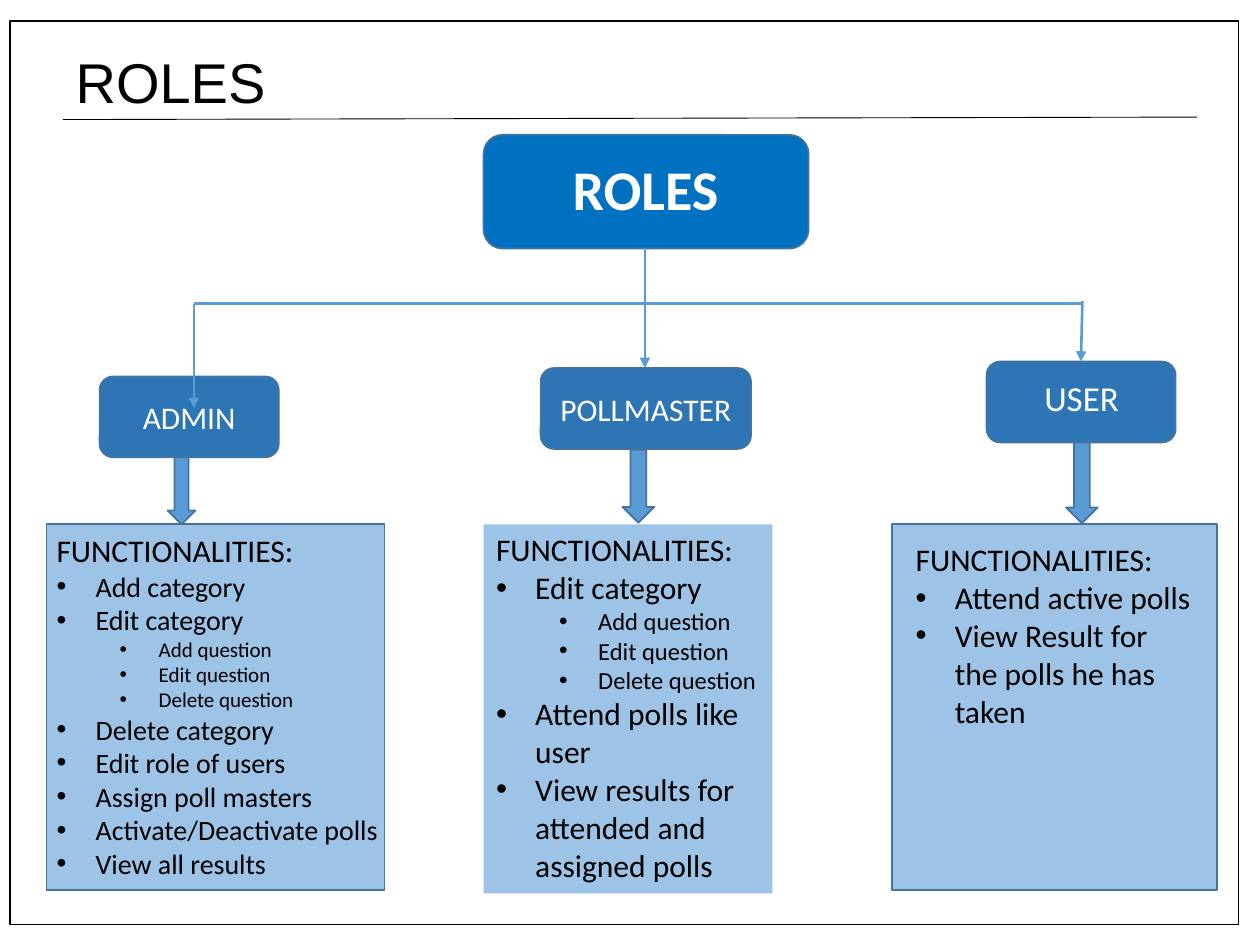
"""Build the slide that shows the roles and what each role can do."""
import lxml.etree
import pptx
import pptx.dml.color
import pptx.enum.shapes
import pptx.enum.text
import pptx.oxml.ns
import pptx.util

Cm = pptx.util.Cm
Pt = pptx.util.Pt
SHAPE = pptx.enum.shapes.MSO_SHAPE
ALIGN = pptx.enum.text.PP_ALIGN
ANCHOR = pptx.enum.text.MSO_ANCHOR

BLACK, WHITE = "000000", "FFFFFF"
TOP_BLUE, ROLE_BLUE, PANEL_BLUE = "0070C0", "2E75B6", "9DC3E6"
ACCENT, EDGE = "5B9BD5", "43739E"
HEADING = (0, "FUNCTIONALITIES:")
QUESTIONS = [(2, "Add question"), (2, "Edit question"), (2, "Delete question")]

ADMIN_ITEMS = [
    HEADING, (1, "Add category"), (1, "Edit category"), *QUESTIONS,
    (1, "Delete category"), (1, "Edit role of users"), (1, "Assign poll masters"),
    (1, "Activate/Deactivate polls"), (1, "View all results"),
]
POLLMASTER_ITEMS = [
    HEADING, (1, "Edit category"), *QUESTIONS, (1, "Attend polls like user"),
    (1, "View results for attended and assigned polls"),
]
USER_ITEMS = [
    HEADING, (1, "Attend active polls"),
    (1, "View Result for the polls he has taken"),
]


def color(value):
    """Return the colour for a hex string."""
    return pptx.dml.color.RGBColor.from_string(value)


def apply_format(target, values):
    """Set each attribute in values on target."""
    for name, value in values.items():
        setattr(target, name, value)


def place(*lengths):
    """Turn numbers in centimetres into lengths."""
    return [Cm(length) for length in lengths]


def add_child(parent, tag, **attributes):
    """Append a DrawingML element to parent."""
    return lxml.etree.SubElement(parent, pptx.oxml.ns.qn(tag), attributes)


def write(frame, text, size, font_color, **font_values):
    """Write a line of text into the last paragraph of a frame."""
    paragraph = frame.paragraphs[-1]
    run = paragraph.add_run()
    run.text = text
    values = {"name": "Calibri", "size": Pt(size), **font_values}
    apply_format(run.font, values)
    run.font.color.rgb = color(font_color)
    return paragraph


def add_box(slide, kind, area, fill=None, line=EDGE):
    """Add a preset shape with a flat fill and a thin outline."""
    shape = slide.shapes.add_shape(kind, *place(*area))
    shape.shadow.inherit = False
    if fill:
        shape.fill.solid()
        shape.fill.fore_color.rgb = color(fill)
    else:
        shape.fill.background()
    if line:
        shape.line.color.rgb = color(line)
        shape.line.width = Pt(1)
    else:
        shape.line.fill.background()
    return shape


def add_role(slide, area, fill, text=None):
    """Add a rounded role box, with its name in the middle if given."""
    shape = add_box(slide, SHAPE.FLOWCHART_ALTERNATE_PROCESS, area, fill)
    if text:
        shape.text_frame.vertical_anchor = ANCHOR.MIDDLE
        write(shape.text_frame, text, 18, WHITE).alignment = ALIGN.CENTER


def add_text_box(slide, area):
    """Add a wrapping text box and return its frame."""
    frame = slide.shapes.add_textbox(*place(*area)).text_frame
    frame.word_wrap = True
    return frame


def add_label(slide, area, text, size, **font_values):
    """Add a centred white label."""
    frame = add_text_box(slide, area)
    write(frame, text, size, WHITE, **font_values).alignment = ALIGN.CENTER


def write_items(frame, items, sizes):
    """Fill a frame with a heading and two levels of bullets."""
    frame.vertical_anchor = ANCHOR.TOP
    for index, (depth, text) in enumerate(items):
        if index:
            frame.add_paragraph()
        paragraph = write(frame, text, sizes[depth], BLACK)
        paragraph.alignment = ALIGN.LEFT
        if depth:
            paragraph.level = depth - 1
            properties = paragraph._p.get_or_add_pPr()
            properties.set("marL", str(Cm(0.79 + 1.27 * (depth - 1))))
            properties.set("indent", str(Cm(-0.79)))
            add_child(properties, "a:buFont", typeface="Arial")
            add_child(properties, "a:buChar", char="•")


def add_line(slide, ends, line=ACCENT, width=1.5, arrow=False):
    """Add a straight line, with an arrowhead at its end if asked."""
    straight = pptx.enum.shapes.MSO_CONNECTOR.STRAIGHT
    connector = slide.shapes.add_connector(straight, *place(*ends))
    connector.line.color.rgb = color(line)
    connector.line.width = Pt(width)
    if arrow:
        add_child(connector.line._get_or_add_ln(), "a:tailEnd", type="triangle")
    add_child(connector._element.spPr, "a:effectLst")


def format_title(slide):
    """Move the title placeholder and write the title."""
    title = slide.shapes.title
    left, top, width, height = place(1.27, 0.84, 4.65, 1.63)
    apply_format(title, {"left": left, "top": top, "width": width, "height": height})
    frame = title.text_frame
    apply_format(frame, {
        "word_wrap": True,
        "auto_size": pptx.enum.text.MSO_AUTO_SIZE.NONE,
        "vertical_anchor": ANCHOR.TOP,
    })
    write(frame, "ROLES", 32, BLACK, name="Arial").alignment = ALIGN.LEFT


def main():
    """Build and save the slide."""
    presentation = pptx.Presentation()
    apply_format(presentation, {"slide_width": Cm(25.4), "slide_height": Cm(19.05)})
    slide = presentation.slides.add_slide(presentation.slide_layouts[5])
    format_title(slide)

    add_role(slide, (9.75, 2.72, 6.55, 2.29), TOP_BLUE)
    add_label(slide, (8.99, 3, 8.05, 1.63), "ROLES", 32, bold=True)
    add_role(slide, (2.01, 7.59, 3.61, 1.63), ROLE_BLUE, "ADMIN")
    add_role(slide, (10.9, 7.42, 4.24, 1.63), ROLE_BLUE, "POLLMASTER")
    add_role(slide, (19.89, 7.29, 3.81, 1.63), ROLE_BLUE)
    add_label(slide, (20.32, 7.47, 2.97, 1.12), "USER", 20)

    add_line(slide, (3.91, 6.12, 21.79, 6.12))
    for ends in [
        (13, 5, 13, 7.42), (3.91, 6.12, 3.91, 8.23), (21.82, 6.07, 21.79, 7.29),
    ]:
        add_line(slide, ends, arrow=True)

    for area in [(0.94, 10.57, 6.81, 7.37), (17.98, 10.57, 6.55, 7.37)]:
        add_box(slide, SHAPE.FLOWCHART_PROCESS, area, PANEL_BLUE)
    pollmaster = add_box(
        slide, SHAPE.RECTANGLE, (9.75, 10.57, 5.82, 7.44), PANEL_BLUE, line=None)
    admin_frame = add_text_box(slide, (0.89, 10.59, 7.52, 7.34))
    user_frame = add_text_box(slide, (18.21, 10.77, 6.15, 4.11))
    write_items(admin_frame, ADMIN_ITEMS, (18, 16, 12))
    write_items(pollmaster.text_frame, POLLMASTER_ITEMS, (18, 18, 14))
    write_items(user_frame, USER_ITEMS, (18, 18, 14))

    for area in [
        (3.38, 9.22, 0.56, 1.35), (12.55, 9.07, 0.64, 1.47), (21.49, 8.92, 0.64, 1.63),
    ]:
        add_box(slide, SHAPE.DOWN_ARROW, area, ACCENT)
    add_line(slide, (1.27, 2.41, 24.13, 2.36), BLACK, 0.5)
    add_box(slide, SHAPE.RECTANGLE, (0.2, 0.43, 24.77, 18.21), line=BLACK)
    presentation.save("out.pptx")


if __name__ == "__main__":
    main()
